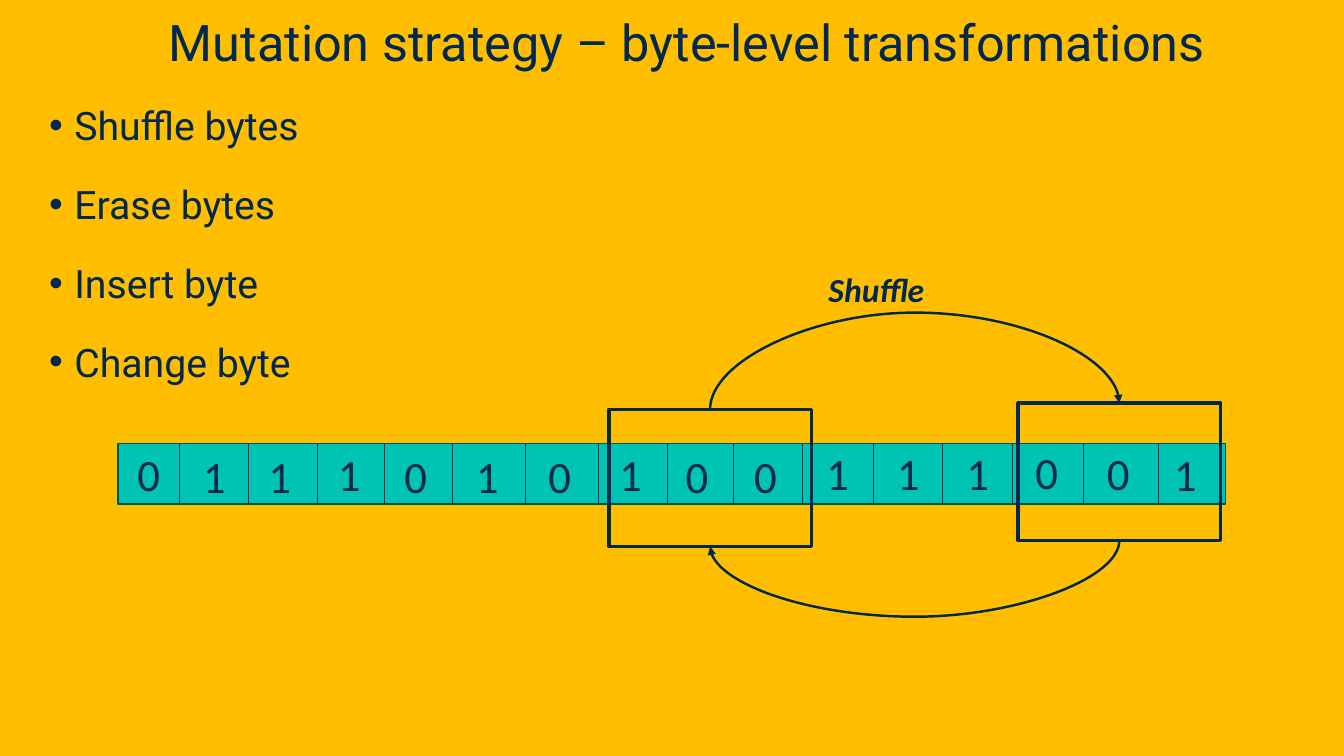
from lxml import etree
from pptx import Presentation, util as u
from pptx.dml.color import RGBColor
from pptx.enum import shapes, text
from pptx.oxml.ns import qn

COLORS = {"background": "FFBE00", "navy": "022850", "teal": "00C4B2", "bar_edge": "00564E"}
TITLE = "Mutation strategy – byte-level transformations"
MUTATIONS = ["Shuffle bytes", "Erase bytes", "Insert byte", "Change byte"]
DIVIDERS = [43.9, 92.9, 142.6, 190.1, 239, 290.9, 343.4, 392.4,
            439.9, 488.9, 540, 589, 638.6, 689.8, 743]
DIGITS = "0111010100111001"
DIGIT_CENTERS = [22, 68.8, 115.6, 165.2, 212.8, 263.9, 315.7, 366.1,
                 413.6, 462.6, 514.1, 564.5, 614.2, 663.5, 714.6, 762.5]
DIGIT_LIFTS = [1.4, 0, 0, 1.4, 0, 0, 0, 1.4, 0, 0, 2.2, 2.2, 2.2, 2.9, 2.2, 1.4]


def color(name):
    """Return the named palette colour."""
    return RGBColor.from_string(COLORS[name])


def style_line(line, name, width):
    """Give a line its colour and width."""
    line.color.rgb = color(name)
    line.width = u.Pt(width)


def add_text(parent, box, lines, size, font="Calibri", wrap=False):
    """Add navy text, one paragraph a line, and return its frame."""
    frame = parent.add_textbox(*map(u.Pt, box)).text_frame
    frame.word_wrap = wrap
    frame.text = "\n".join(lines)
    for paragraph in frame.paragraphs:
        for run in paragraph.runs:
            run.font.size = u.Pt(size)
            run.font.name = font
            run.font.color.rgb = color("navy")
    return frame


def add_box(parent, box, fill, edge, width):
    """Add a flat rectangle, unfilled when fill is None."""
    rectangle = parent.add_shape(shapes.MSO_SHAPE.RECTANGLE, *map(u.Pt, box))
    rectangle.shadow.inherit = False
    if fill:
        rectangle.fill.solid()
        rectangle.fill.fore_color.rgb = color(fill)
    else:
        rectangle.fill.background()
    style_line(rectangle.line, edge, width)


def add_line(parent, kind, ends, width):
    """Add a navy connector without a shadow."""
    connector = parent.add_connector(kind, *map(u.Pt, ends))
    style_line(connector.line, "navy", width)
    etree.SubElement(connector._element.spPr, qn("a:effectLst"))
    return connector


def add_title(slide, box):
    """Add the centred slide title."""
    frame = add_text(slide.shapes, box, [TITLE], 36, "Roboto", True)
    frame.vertical_anchor = text.MSO_ANCHOR.BOTTOM
    heading = frame.paragraphs[0]
    heading.alignment = text.PP_ALIGN.CENTER
    heading._p.get_or_add_pPr().set("marL", str(u.Pt(21.6)))


def add_mutations(slide, box):
    """Add the bulleted list of mutations."""
    frame = add_text(slide.shapes, box, MUTATIONS, 28, "Roboto", True)
    for mutation in frame.paragraphs:
        mutation.line_spacing = 1.2
        mutation.space_before = u.Pt(10)
        mutation.space_after = u.Pt(6)
        properties = mutation._p.get_or_add_pPr()
        properties.set("marL", str(u.Pt(18)))
        properties.set("indent", str(u.Pt(-18)))
        etree.SubElement(properties, qn("a:buFont"), typeface="Arial")
        etree.SubElement(properties, qn("a:buChar"), char="•")


def add_byte_bar(slide, box):
    """Add the grouped bar with its dividers and digits."""
    left, top, width, height = box
    bar = slide.shapes.add_group_shape().shapes
    add_box(bar, box, "teal", "bar_edge", 1)
    for offset in DIVIDERS:
        x = left + offset
        add_line(bar, shapes.MSO_CONNECTOR.STRAIGHT, (x, top, x, top + height), 0.5)
    for digit, center, lift in zip(DIGITS, DIGIT_CENTERS, DIGIT_LIFTS):
        frame = add_text(bar, (left + center - 15.5, top - lift, 31, 46), [digit], 32)
        frame.paragraphs[0].alignment = text.PP_ALIGN.CENTER


def add_arc(slide, start, end, peak):
    """Add a curved arrow that bulges to the height of peak."""
    (x1, y1), (x2, y2) = start, end
    depth, span = abs(y2 - y1), abs(x2 - x1)
    left = (x1 + x2 - depth) / 2
    top = (y1 + y2 - span) / 2
    arc = add_line(slide.shapes, shapes.MSO_CONNECTOR.CURVE,
                   (left, top, left + depth, top + span), 1.75)
    properties = arc._element.spPr
    frame = properties.find(qn("a:xfrm"))
    frame.set("rot", "5400000")
    if x2 > x1:
        frame.set("flipH", "1")
        frame.set("flipV", "1")
    guides = properties.find(qn("a:prstGeom")).get_or_add_avLst()
    bulge = round(abs(peak - y1) / depth * 100000)
    etree.SubElement(guides, qn("a:gd"), name="adj1", fmla=f"val {bulge}")
    etree.SubElement(arc.line._get_or_add_ln(), qn("a:tailEnd"), type="triangle")


def add_shuffle(slide, box):
    """Add the two framed byte runs, the arrows between them and the label."""
    left, top, width, height = box
    frame_width, frame_height, rise = 144.7, 98, 4.4
    source = (left + frame_width / 2, top + rise)
    target = (left + width - frame_width / 2, top)
    for x, y in (source, target):
        add_box(slide.shapes, (x - frame_width / 2, y, frame_width, frame_height),
                None, "navy", 2.5)
    add_arc(slide, source, target, top - 64.8)
    add_arc(slide, (target[0], target[1] + frame_height),
            (source[0], source[1] + frame_height), top + height + 50.2)
    label = add_text(slide.shapes, (left + 149.8, top - 99.4, 85, 36), ["Shuffle"], 24)
    font = label.paragraphs[0].runs[0].font
    font.bold = font.italic = True


def main():
    """Build and save the slide."""
    deck = Presentation()
    deck.slide_width, deck.slide_height = u.Pt(960), u.Pt(540)
    slide = deck.slides.add_slide(deck.slide_layouts[6])
    slide.background.fill.solid()
    slide.background.fill.fore_color.rgb = color("background")
    add_mutations(slide, (28, 62, 901.4, 411))
    add_title(slide, (0, 0, 960, 54.7))
    add_byte_bar(slide, (84.2, 316.8, 791.3, 43.2))
    add_shuffle(slide, (434.9, 288, 437, 102.4))
    deck.save("out.pptx")


if __name__ == "__main__":
    main()
